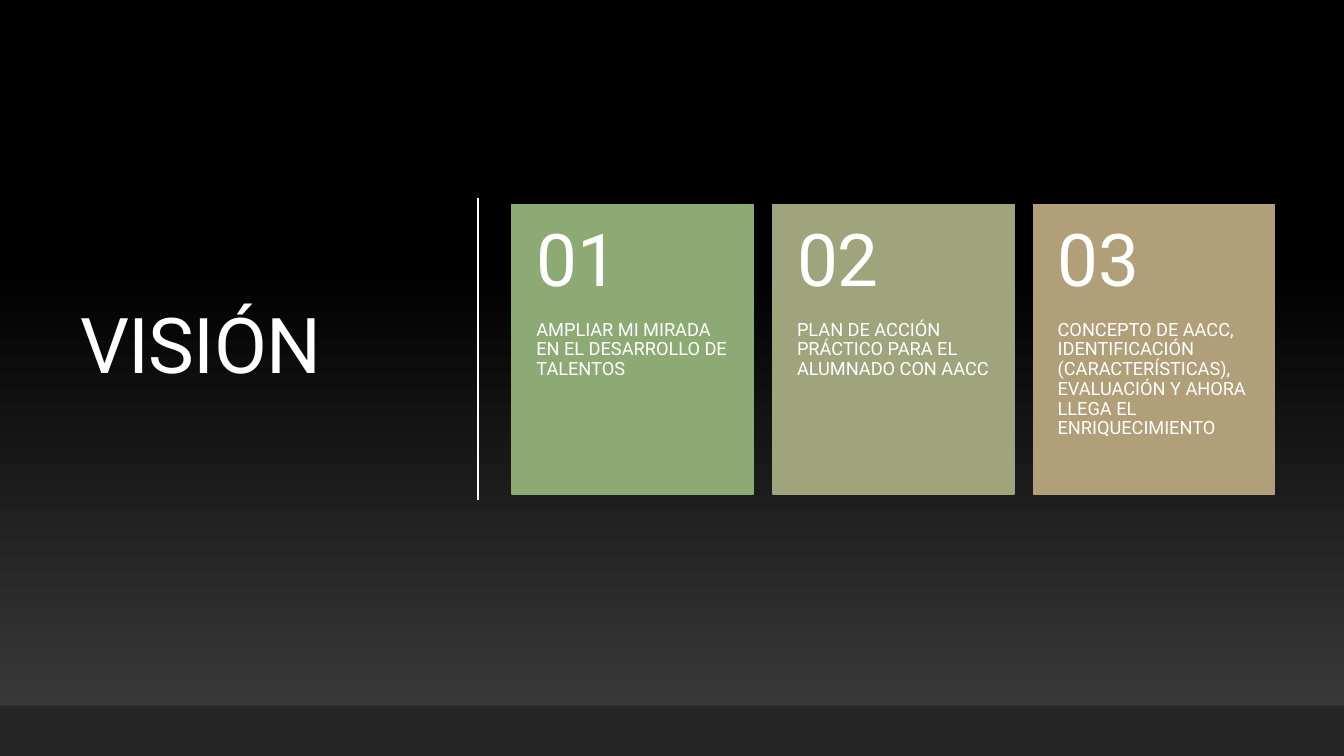
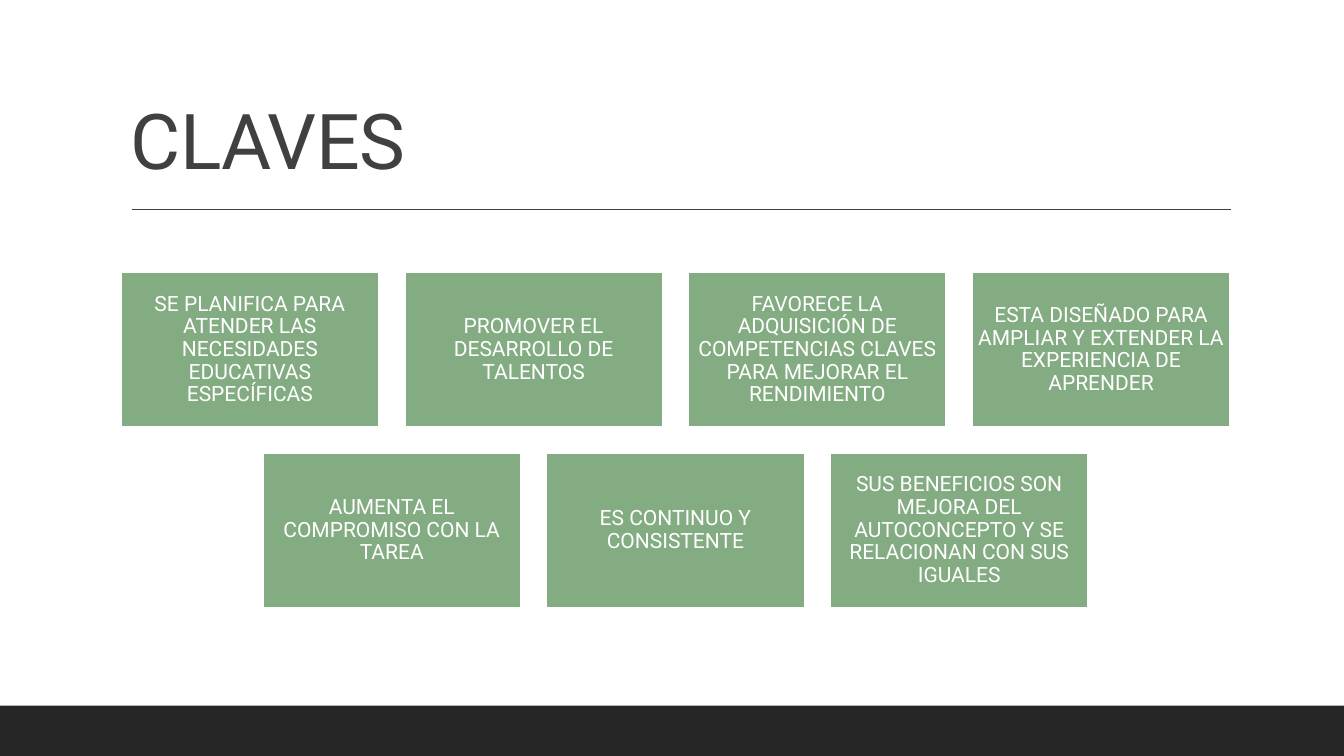
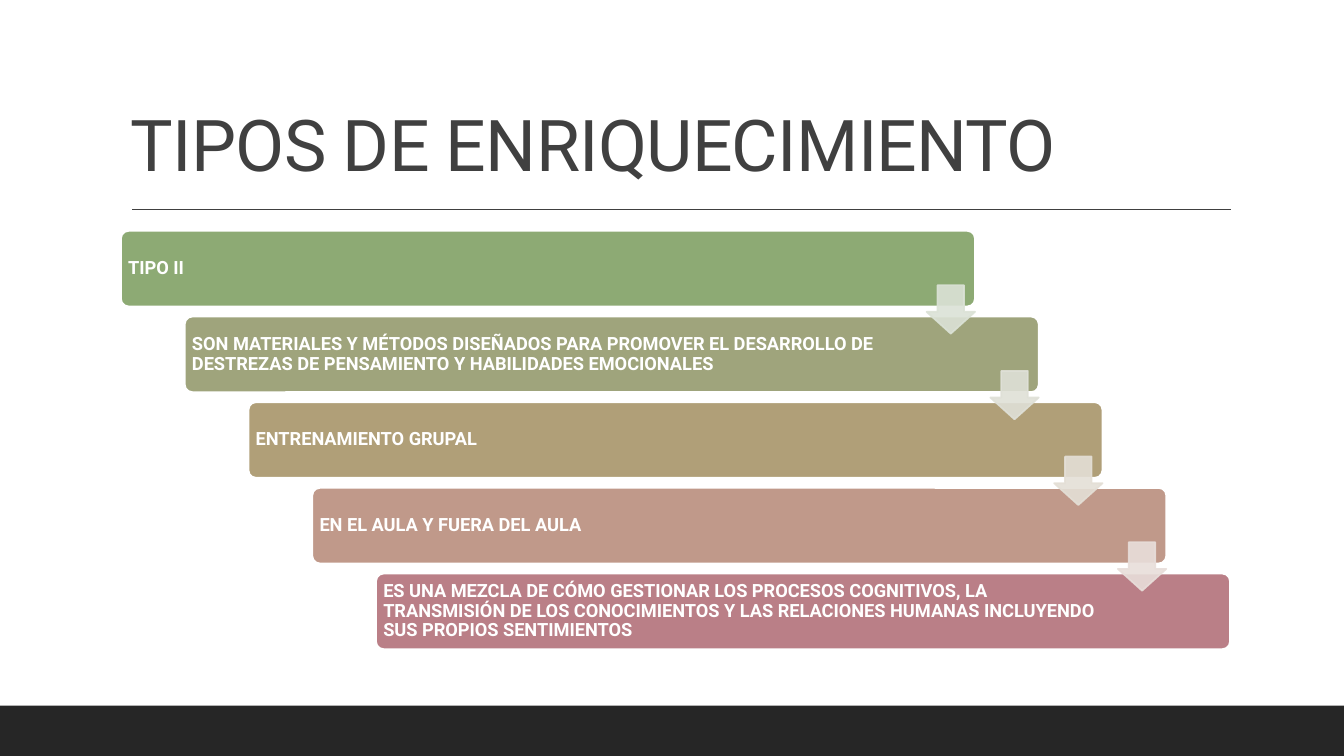
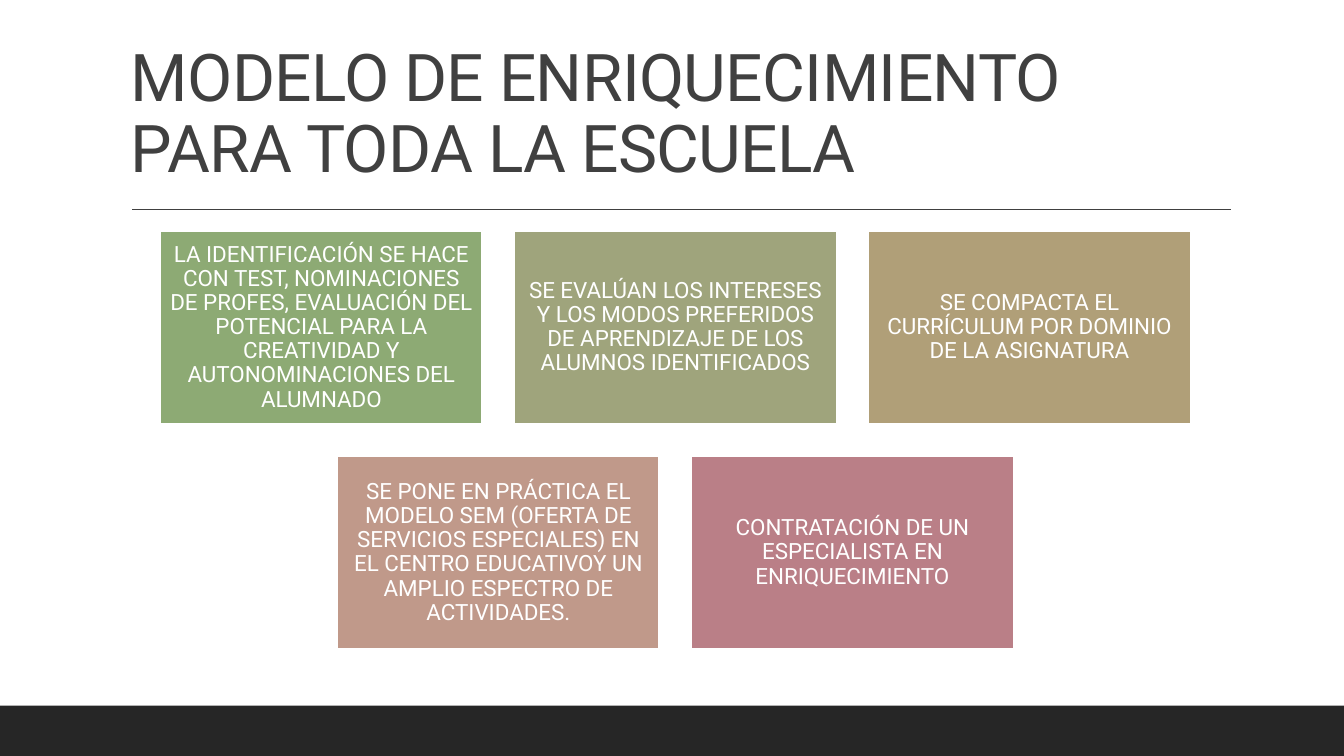
from collections import namedtuple

from pptx import Presentation
from pptx.dml.color import RGBColor
from pptx.enum.shapes import MSO_CONNECTOR, MSO_SHAPE as Shape
from pptx.enum.text import MSO_ANCHOR as Anchor, PP_ALIGN as Align
from pptx.oxml.ns import qn
from pptx.oxml.xmlchemy import OxmlElement
from pptx.util import Inches, Pt

Box = namedtuple("Box", "left top width height")

PAGE = Box(0, 0, 13.33, 7.5)
BAND = Box(0, 7, 13.33, 0.5)
TITLE = Box(1.2, 0.31, 11, 1.59)
SIDE_TITLE = Box(0.7, 0.69, 3.69, 5.53)
CONTENT = Box(1.2, 2.29, 11, 4.15)
CARDS = Box(5.08, 2.03, 7.56, 2.87)

FONT = "Roboto"
WHITE, BLACK, INK = "FFFFFF", "000000", "404040"
BAND_FILL, GLOW = "262626", "3F3F3F"
KEY_GREEN = "84AC82"
ACCENTS = ["8DAA74", "9FA47C", "B09F78", "C0998A", "BA7F87"]
PALE_ACCENTS = ["DBE2D6", "DFE0D7", "E4DFD6", "E8DEDA"]
DEFAULT_INSETS = (0.1, 0.05, 0.1, 0.05)


def color(value):
    return RGBColor.from_string(value)


def inches(box):
    return [Inches(length) for length in box]


# Basic parts

def write(shape, text, size, ink=WHITE, align=Align.LEFT, anchor=Anchor.MIDDLE,
          insets=DEFAULT_INSETS, bold=False, spacing=None):
    frame = shape.text_frame
    frame.text = text
    frame.word_wrap = True
    frame.vertical_anchor = anchor
    (frame.margin_left, frame.margin_top,
     frame.margin_right, frame.margin_bottom) = inches(insets)
    para = frame.paragraphs[0]
    para.alignment = align
    para.line_spacing = 0.9
    span = para.runs[0]
    span.font.name = FONT
    span.font.size = Pt(size)
    span.font.bold = bold
    span.font.color.rgb = color(ink)
    if spacing:
        span.font._element.set("spc", str(round(spacing * 100)))


def add_block(page, box, fill, line=None, kind=Shape.RECTANGLE, adjust=(), opacity=None):
    block = page.shapes.add_shape(kind, *inches(box))
    block.shadow.inherit = False
    for index, value in enumerate(adjust):
        block.adjustments[index] = value
    block.fill.solid()
    block.fill.fore_color.rgb = color(fill)
    if line:
        block.line.color.rgb = color(line)
        block.line.width = Pt(1.25)
    else:
        block.line.fill.background()
    if opacity:
        for tint in list(block._element.spPr.iter(qn("a:srgbClr"))):
            alpha = OxmlElement("a:alpha")
            alpha.set("val", str(opacity * 1000))
            tint.append(alpha)
    return block


def add_text(page, box, text, size, **style):
    write(page.shapes.add_textbox(*inches(box)), text, size, **style)


def add_rule(page, start, end, ink):
    rule = page.shapes.add_connector(MSO_CONNECTOR.STRAIGHT, *inches(start + end))
    rule.line.color.rgb = color(ink)
    rule.line.width = Pt(1)
    rule._element.spPr.append(OxmlElement("a:effectLst"))


# Slide frames

def add_page(deck):
    page = deck.slides.add_slide(deck.slide_layouts[6])
    add_block(page, BAND, BAND_FILL)
    return page


def add_light_page(deck, title, size):
    page = add_page(deck)
    page.background.fill.solid()
    page.background.fill.fore_color.rgb = color(WHITE)
    add_text(page, TITLE, title, size, ink=INK, anchor=Anchor.BOTTOM, spacing=-0.5)
    add_rule(page, (1.31, 2.08), (12.21, 2.08), INK)
    return page


def add_dark_page(deck, title, size):
    page = add_page(deck)
    fill = page.background.fill
    fill.gradient()
    fill.gradient_angle = 90
    for stop, position, tint in zip(fill.gradient_stops, (0, 0.65), (GLOW, BLACK)):
        stop.position = position
        stop.color.rgb = color(tint)
    add_text(page, SIDE_TITLE, title, size, spacing=-0.5)
    add_rule(page, (4.74, 1.96), (4.74, 4.96), WHITE)
    return page


# Content regions

def add_cards(page, box, texts, width=2.39, head=1.15):
    pitch = (box.width - width) / (len(texts) - 1)
    for index, text in enumerate(texts):
        card = Box(box.left + index * pitch, box.top, width, box.height)
        add_block(page, card, ACCENTS[index], ACCENTS[index])
        add_text(page, card._replace(height=head), f"{index + 1:02}", 52,
                 insets=(0.24, 0.18, 0.24, 0.18))
        body = card._replace(top=card.top + head, height=card.height - head)
        add_text(page, body, text, 13, anchor=Anchor.TOP, insets=(0.24, 0, 0.24, 0.36))


def add_tiles(page, box, texts, columns, size, fills, inset):
    """Centred rows of tiles: height 0.6 and gap 0.1 of the tile width."""
    rows = [texts[start:start + columns] for start in range(0, len(texts), columns)]
    width = min(box.width / (1.1 * columns - 0.1),
                box.height / (0.7 * len(rows) - 0.1))
    height, gap = 0.6 * width, 0.1 * width
    top = box.top + (box.height - len(rows) * (height + gap) + gap) / 2
    tints = iter(fills)
    for row_index, row in enumerate(rows):
        left = box.left + (box.width - len(row) * (width + gap) + gap) / 2
        for index, text in enumerate(row):
            tile = Box(left + index * (width + gap),
                       top + row_index * (height + gap), width, height)
            write(add_block(page, tile, next(tints), WHITE), text, size,
                  align=Align.CENTER, insets=(inset,) * 4)


def add_staircase(page, box, texts, width=8.47, height=0.75, arrow=0.48):
    steps = len(texts) - 1
    across, down = (box.width - width) / steps, (box.height - height) / steps
    bars = [Box(box.left + index * across, box.top + index * down, width, height)
            for index in range(len(texts))]
    for bar, text, fill in zip(bars, texts, ACCENTS):
        block = add_block(page, bar, fill, WHITE, Shape.ROUNDED_RECTANGLE, [0.1])
        write(block, text, 13, bold=True, insets=(0.05, 0.05, 1.17, 0.05))
    # Arrows lie over the bars, flush with each right end
    for bar, fill in zip(bars, PALE_ACCENTS):
        spot = Box(bar.left + width - arrow, bar.top + 0.54, arrow, arrow)
        add_block(page, spot, fill, fill, Shape.DOWN_ARROW, [0.55, 0.45], opacity=90)


def main():
    deck = Presentation()
    deck.slide_width, deck.slide_height = Inches(PAGE.width), Inches(PAGE.height)

    add_cards(add_dark_page(deck, "VISIÓN", 55), CARDS, [
        "AMPLIAR MI MIRADA EN EL DESARROLLO DE TALENTOS",
        "PLAN DE ACCIÓN PRÁCTICO PARA EL ALUMNADO CON AACC",
        "CONCEPTO DE AACC, IDENTIFICACIÓN (CARACTERÍSTICAS), EVALUACIÓN Y AHORA "
        "LLEGA EL ENRIQUECIMIENTO",
    ])

    keys = [
        "SE PLANIFICA PARA ATENDER LAS NECESIDADES EDUCATIVAS ESPECÍFICAS",
        "PROMOVER EL DESARROLLO DE TALENTOS",
        "FAVORECE LA ADQUISICIÓN DE COMPETENCIAS CLAVES PARA MEJORAR EL RENDIMIENTO",
        "ESTA DISEÑADO PARA AMPLIAR Y EXTENDER LA EXPERIENCIA DE APRENDER",
        "AUMENTA EL COMPROMISO CON LA TAREA",
        "ES CONTINUO Y CONSISTENTE",
        "SUS BENEFICIOS SON MEJORA DEL AUTOCONCEPTO Y SE RELACIONAN CON SUS IGUALES",
    ]
    add_tiles(add_light_page(deck, "CLAVES", 55), CONTENT, keys, columns=4, size=15,
              fills=[KEY_GREEN] * len(keys), inset=0.06)

    add_staircase(add_light_page(deck, "TIPOS DE ENRIQUECIMIENTO", 51), CONTENT, [
        "TIPO II",
        "SON MATERIALES Y MÉTODOS DISEÑADOS PARA PROMOVER EL DESARROLLO DE "
        "DESTREZAS DE PENSAMIENTO Y HABILIDADES EMOCIONALES",
        "ENTRENAMIENTO GRUPAL",
        "EN EL AULA Y FUERA DEL AULA",
        "ES UNA MEZCLA DE CÓMO GESTIONAR LOS PROCESOS COGNITIVOS, LA TRANSMISIÓN DE "
        "LOS CONOCIMIENTOS Y LAS RELACIONES HUMANAS INCLUYENDO SUS PROPIOS SENTIMIENTOS",
    ])

    model = add_light_page(deck, "MODELO DE ENRIQUECIMIENTO PARA TODA LA ESCUELA", 47)
    add_tiles(model, CONTENT, [
        "LA IDENTIFICACIÓN SE HACE CON TEST, NOMINACIONES DE PROFES, EVALUACIÓN DEL "
        "POTENCIAL PARA LA CREATIVIDAD Y AUTONOMINACIONES DEL ALUMNADO",
        "SE EVALÚAN LOS INTERESES Y LOS MODOS PREFERIDOS DE APRENDIZAJE DE LOS "
        "ALUMNOS IDENTIFICADOS",
        "SE COMPACTA EL CURRÍCULUM POR DOMINIO DE LA ASIGNATURA",
        "SE PONE EN PRÁCTICA EL MODELO SEM (OFERTA DE SERVICIOS ESPECIALES) EN EL "
        "CENTRO EDUCATIVOY UN AMPLIO ESPECTRO DE ACTIVIDADES.",
        "CONTRATACIÓN DE UN ESPECIALISTA EN ENRIQUECIMIENTO",
    ], columns=3, size=16, fills=ACCENTS, inset=0.07)

    deck.save("out.pptx")


if __name__ == "__main__":
    main()
